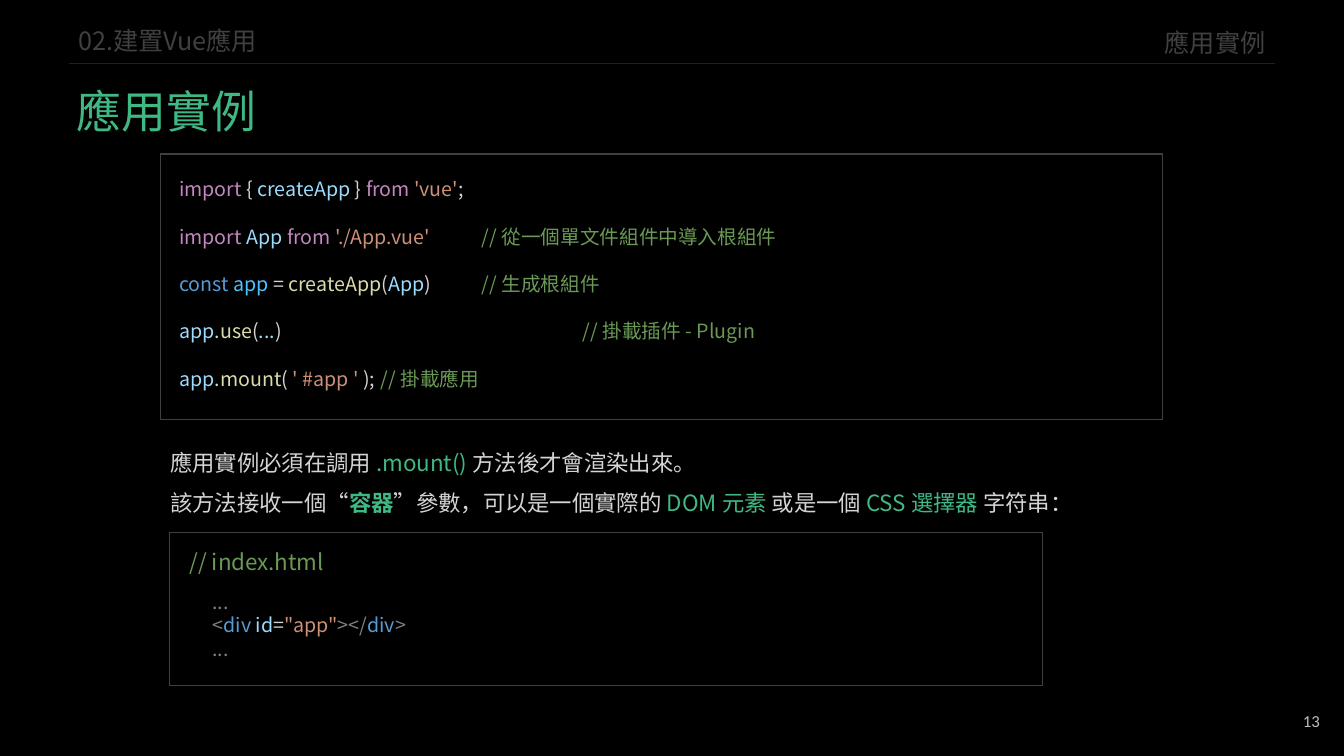
"""Build the Vue application instance slide."""
from dataclasses import dataclass, field

from lxml.etree import SubElement
from pptx import Presentation
from pptx.dml.color import RGBColor as Rgb
from pptx.enum.shapes import MSO_CONNECTOR as Conn, MSO_SHAPE as Kind
from pptx.enum.text import MSO_ANCHOR as Anchor, MSO_AUTO_SIZE as Auto, PP_ALIGN as Align
from pptx.oxml.ns import qn
from pptx.util import Inches, Pt

HUES = {
    "back": "000000", "green": "40B883", "dim": "404040", "page": "BFBFBF",
    "key": "C586C0", "plain": "D4D4D4", "name": "9CDCFE", "text": "CE9178",
    "note": "6A9955", "word": "569CD6", "const": "4FC1FF", "call": "DCDCAA",
    "tag": "808080",
}
CJK = "Noto Sans CJK TC"
Run = tuple[str, str]
Box = tuple[float, float, float, float]


@dataclass
class Line:
    """A paragraph of coloured runs, with an optional tab stop in inches."""
    runs: list[Run]
    tab: float = 0


@dataclass
class Block:
    """A text block with its place and format."""
    box: Box
    lines: list[Line]
    size: int
    face: str = CJK
    form: dict = field(default_factory=dict)
    gap: int = 0
    bold: str = ""
    wrap: bool = True
    anchor: Anchor = Anchor.TOP


def hue(name: str) -> Rgb:
    """Look up a colour."""
    return Rgb.from_string(HUES[name])


def assign(item: object, form: dict) -> None:
    """Set attributes from format values."""
    for key, val in form.items():
        setattr(item, key, val)


def write(shape, block: Block) -> None:
    """Fill a shape with the text of a block."""
    left, top, width, height = map(Inches, block.box)
    assign(shape, {"left": left, "top": top, "width": width, "height": height})
    frame = shape.text_frame
    assign(frame, {"word_wrap": block.wrap, "auto_size": Auto.NONE,
                   "vertical_anchor": block.anchor})
    for row, line in enumerate(block.lines):
        para = frame.add_paragraph() if row else frame.paragraphs[0]
        assign(para, {"alignment": Align.LEFT, **block.form})
        if row and block.gap:
            para.space_before = Pt(block.gap)
        if line.tab:
            tabs = SubElement(para._p.get_or_add_pPr(), qn("a:tabLst"))
            SubElement(tabs, qn("a:tab"), pos=str(Inches(line.tab)), algn="l")
        for text, tone in line.runs:
            run = para.add_run()
            run.text = text
            assign(run.font, {"size": Pt(block.size), "name": block.face,
                              "bold": text == block.bold})
            run.font.color.rgb = hue(tone)
            SubElement(run._r.get_or_add_rPr(), qn("a:ea"), typeface=block.face)


def panel(slide, box: Box) -> None:
    """Draw an outlined code panel."""
    shape = slide.shapes.add_shape(Kind.RECTANGLE, *map(Inches, box))
    shape.shadow.inherit = False
    shape.fill.background()
    shape.line.color.rgb = hue("dim")
    shape.line.width = Pt(1)


def rule(slide, left: float, right: float, top: float) -> None:
    """Draw the half-transparent header rule."""
    line = slide.shapes.add_connector(
        Conn.STRAIGHT, *map(Inches, (left, top, right, top)))
    line.line.color.rgb = hue("dim")
    line.line.width = Pt(0.5)
    props = line._element.spPr
    tone = next(props.iter(qn("a:srgbClr")))
    SubElement(tone, qn("a:alpha"), val="50000")
    SubElement(props, qn("a:effectLst"))


TITLE = Block((0.66, 0.51, 10.68, 0.84), [Line([("應用實例", "green")])], 32,
              form={"line_spacing": 1.5})
PANELS = [(1.59, 1.53, 9.94, 2.63), (1.68, 5.28, 8.66, 1.52)]
CODE = [
    Line([("import", "key"), (" { ", "plain"), ("createApp", "name"),
          (" } ", "plain"), ("from ", "key"), ("'vue'", "text"), (";", "plain")]),
    Line([("import ", "key"), ("App ", "name"), ("from ", "key"),
          ("'./App.vue'\t", "text"), ("// 從一個單文件組件中導入根組件", "note")], 3),
    Line([("const ", "word"), ("app", "const"), (" = ", "plain"),
          ("createApp", "call"), ("(", "plain"), ("App", "name"),
          (")\t", "plain"), ("// 生成根組件", "note")], 3),
    Line([("app", "name"), (".", "plain"), ("use", "call"), ("(", "plain"),
          ("...", "name"), (")\t", "plain"), ("// 掛載插件 - Plugin", "note")], 4),
    Line([("app", "name"), (".", "plain"), ("mount", "call"), ("( ", "plain"),
          ("' #app ' ", "text"), (");", "plain"), ("\t// 掛載應用", "note")], 2),
]
PAGE = [
    Line([("...", "tag")]),
    Line([("<", "tag"), ("div ", "word"), ("id", "name"), ("=", "plain"),
          ('"app"', "text"), ("></", "tag"), ("div", "word"), (">", "tag")]),
    Line([("...", "tag")]),
]
PROSE = [
    Line([("應用實例必須在調用 ", "plain"), (".mount() ", "green"),
          ("方法後才會渲染出來。", "plain")]),
    Line([("該方法接收一個“", "plain"), ("容器", "green"),
          ("”參數，可以是一個實際的 ", "plain"), ("DOM 元素 ", "green"),
          ("或是一個 ", "plain"), ("CSS 選擇器 ", "green"), ("字符串：", "plain")]),
]
BLOCKS = [
    Block((0.68, 0.22, 2.79, 0.38), [Line([("02.建置Vue應用", "dim")])], 18,
          form={"line_spacing": Pt(20)}),
    Block((9.86, 0.22, 2.79, 0.4), [Line([("應用實例", "dim")])], 18,
          form={"alignment": Align.RIGHT}),
    Block((1.68, 1.71, 8.33, 2.22), CODE, 14, gap=17),
    Block((2.01, 5.8, 2.31, 0.81), PAGE, 14, wrap=False),
    Block((1.59, 4.27, 10.02, 0.86), PROSE, 16, form={"line_spacing": 1.5},
          bold="容器"),
    Block((1.78, 5.39, 1.55, 0.37), [Line([("// index.html", "note")])], 16,
          wrap=False),
    Block((10.19, 6.95, 3, 0.4), [Line([("13", "page")])], 12, "Calibri",
          {"alignment": Align.RIGHT}, anchor=Anchor.MIDDLE),
]


def main() -> None:
    """Build and save the slide."""
    deck = Presentation()
    assign(deck, {"slide_width": Inches(13.33), "slide_height": Inches(7.5)})
    slide = deck.slides.add_slide(deck.slide_layouts[5])
    slide.background.fill.solid()
    slide.background.fill.fore_color.rgb = hue("back")
    write(slide.shapes.title, TITLE)
    rule(slide, 0.68, 12.65, 0.63)
    for box in PANELS:
        panel(slide, box)
    for block in BLOCKS:
        write(slide.shapes.add_textbox(*map(Inches, block.box)), block)
    deck.save("out.pptx")


if __name__ == "__main__":
    main()
